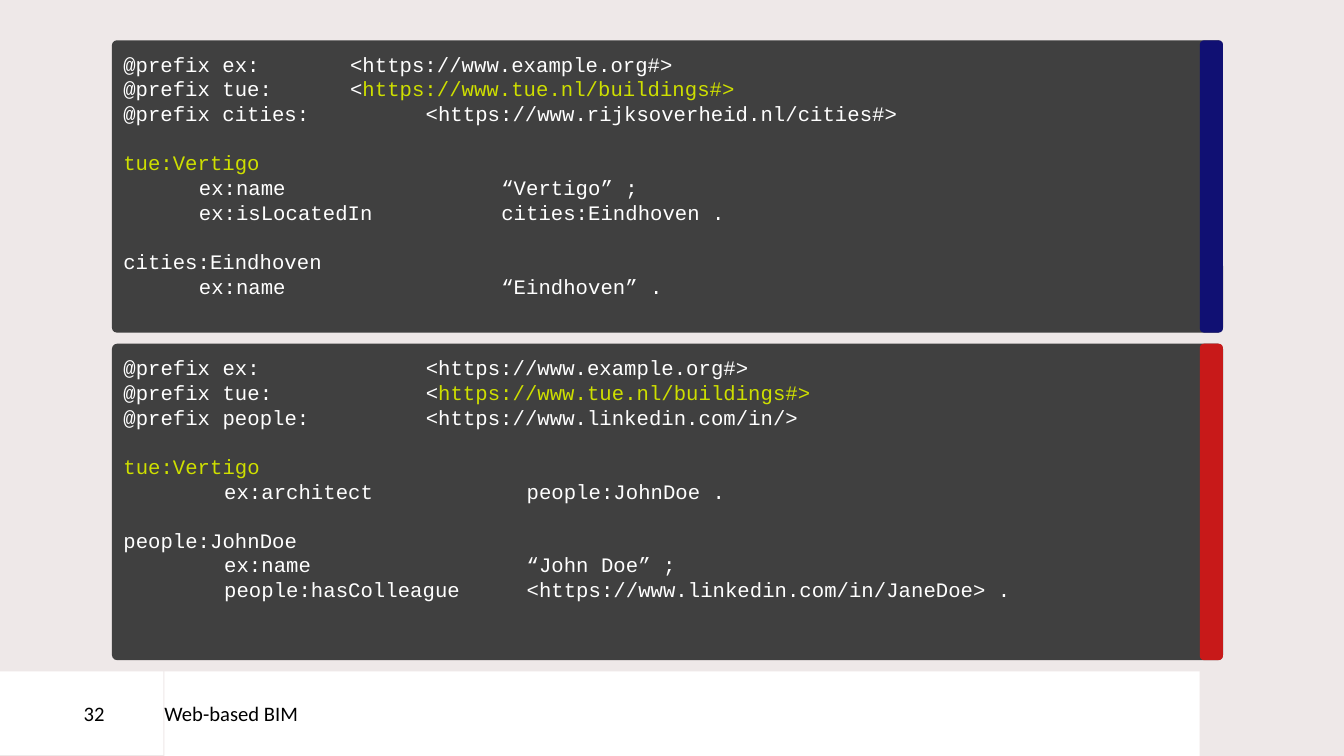
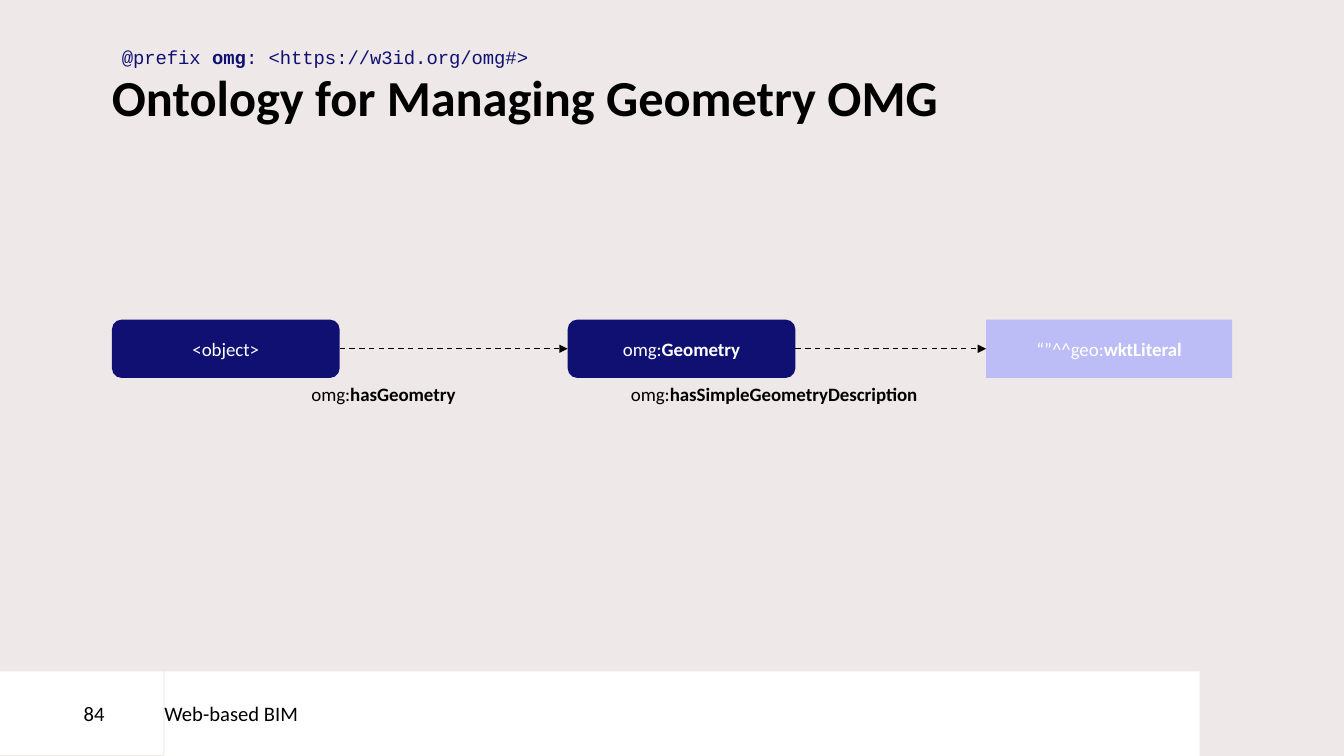
"""Build two slides on linked building data and geometry ontologies."""
from lxml.etree import SubElement
from pptx import Presentation
from pptx.dml.color import RGBColor
from pptx.enum.dml import MSO_LINE
from pptx.enum.shapes import MSO_CONNECTOR, MSO_SHAPE
from pptx.enum.text import MSO_ANCHOR, PP_ALIGN
from pptx.oxml.ns import qn
from pptx.util import Inches, Pt

COLORS = {
    "background": "EEE8E8", "white": "FFFFFF", "black": "000000",
    "panel": "404040", "lime": "CEDF00", "navy": "101073",
    "red": "C81919", "lilac": "BCBCF6",
}
SANS, MONO = "Calibri", "Courier New"
LEFT = 1.11
PANEL_WIDTH = 11.02
STRIPE_WIDTH = 0.23
NODE_TOP, NODE_HEIGHT = 3.17, 0.58
CODE_PITCH = 17.6


def rgb(name):
    return RGBColor.from_string(COLORS[name])


def write(sp, lines, size=13.5, font=SANS, color="black", align=PP_ALIGN.LEFT,
          anchor=MSO_ANCHOR.TOP, insets=(0.1, 0.05, 0.1, 0.05), pitch=None,
          tab=None, gaps=()):
    tf = sp.text_frame
    tf.word_wrap = True
    tf.vertical_anchor = anchor
    tf.margin_left, tf.margin_top, tf.margin_right, tf.margin_bottom = map(Inches, insets)
    for i, line in enumerate(lines):
        p = tf.add_paragraph() if i else tf.paragraphs[0]
        p.alignment = align
        p.space_before = Pt(pitch if i in gaps else 0)
        if pitch:
            p.line_spacing = Pt(pitch)
        if tab:
            stops = SubElement(p._p.get_or_add_pPr(), qn("a:tabLst"))
            for n in range(1, 9):
                SubElement(stops, qn("a:tab"), pos=str(Inches(n * tab)), algn="l")
        for text, style in line:
            r = p.add_run()
            r.text = text
            r.font.size = Pt(size)
            r.font.name = font
            r.font.bold = style == "bold"
            r.font.color.rgb = rgb(style if style in COLORS else color)


class Deck:
    def __init__(self):
        self.prs = Presentation()
        self.prs.slide_width, self.prs.slide_height = Inches(13.33), Inches(7.5)
        self.s = None

    def slide(self, number):
        self.s = self.prs.slides.add_slide(self.prs.slide_layouts[6])
        fill = self.s.background.fill
        fill.solid()
        fill.fore_color.rgb = rgb("background")
        for text, x, w, h, inset in (("Web-based BIM", 1.63, 10.27, 0.84, 0),
                                     (str(number), 0, 1.62, 0.83, 0.83)):
            band = self.box(x, 6.66, w, h, "white")
            write(band, [[(text, "")]], size=14.7, anchor=MSO_ANCHOR.MIDDLE,
                  insets=(inset, 0, 0, 0))

    def box(self, x, y, w, h, color, radius=None):
        kind = MSO_SHAPE.RECTANGLE if radius is None else MSO_SHAPE.ROUNDED_RECTANGLE
        sp = self.s.shapes.add_shape(kind, Inches(x), Inches(y), Inches(w), Inches(h))
        if radius is not None:
            sp.adjustments[0] = radius
        sp.shadow.inherit = False
        sp.fill.solid()
        sp.fill.fore_color.rgb = rgb(color)
        sp.line.fill.background()
        return sp

    def text(self, x, y, w, h, *runs, **style):
        sp = self.s.shapes.add_textbox(Inches(x), Inches(y), Inches(w), Inches(h))
        write(sp, [runs], **style)

    def code(self, y, h, stripe, tab, lines, gaps):
        panel = self.box(LEFT, y, PANEL_WIDTH, h, "panel", 0.017)
        write(panel, lines, size=14.7, font=MONO, color="white", insets=(0.1,) * 4,
              pitch=CODE_PITCH, tab=tab, gaps=gaps)
        self.box(LEFT + PANEL_WIDTH - STRIPE_WIDTH, y, STRIPE_WIDTH, h, stripe, 0.187)

    def node(self, x, w, color, *runs, radius=0.17):
        sp = self.box(x, NODE_TOP, w, NODE_HEIGHT, color, radius)
        write(sp, [runs], color="white", align=PP_ALIGN.CENTER, anchor=MSO_ANCHOR.MIDDLE)
        return sp

    def arrow(self, start, end):
        c = self.s.shapes.add_connector(MSO_CONNECTOR.STRAIGHT, 0, 0, 0, 0)
        c.begin_connect(start, 3)
        c.end_connect(end, 1)
        c.line.color.rgb = rgb("black")
        c.line.width = Pt(1)
        c.line.dash_style = MSO_LINE.DASH
        SubElement(c.line._get_or_add_ln(), qn("a:tailEnd"), type="triangle")
        SubElement(c._element.spPr, qn("a:effectLst"))


def turtle_slide(deck):
    deck.slide(32)
    shared = [
        [("@prefix ex:\t\t<https://www.example.org#>", "")],
        [("@prefix tue:\t\t<", ""), ("https://www.tue.nl/buildings#>", "lime")],
    ]
    subject = [("tue:Vertigo", "lime")]
    deck.code(0.4, 2.9, "navy", 0.75, shared + [
        [("@prefix cities:\t\t<https://www.rijksoverheid.nl/cities#>", "")],
        subject,
        [("\tex:name\t\t\t“Vertigo” ;", "")],
        [("\tex:isLocatedIn\t\tcities:Eindhoven .", "")],
        [("cities:Eindhoven", "")],
        [("\tex:name\t\t\t“Eindhoven” .", "")],
    ], gaps=(3, 6))
    deck.code(3.41, 3.14, "red", 1, shared + [
        [("@prefix people:\t\t<https://www.linkedin.com/in/>", "")],
        subject,
        [("\tex:architect\t\tpeople:JohnDoe .", "")],
        [("people:JohnDoe", "")],
        [("\tex:name\t\t\t“John Doe” ;", "")],
        [("\tpeople:hasColleague\t<https://www.linkedin.com/in/JaneDoe> .", "")],
    ], gaps=(3, 5))


def geometry_slide(deck):
    deck.slide(84)
    deck.text(LEFT, 0.4, 6.67, 0.33, ("@prefix ", ""), ("omg", "bold"),
              (": <https://w3id.org/omg#>", ""), font=MONO, color="navy")
    deck.text(LEFT, 0.76, PANEL_WIDTH, 0.79, ("Ontology for Managing Geometry OMG", "bold"),
              size=36, insets=(0,) * 4, pitch=36)
    thing = deck.node(LEFT, 2.26, "navy", ("<object>", ""))
    geometry = deck.node(5.63, 2.26, "navy", ("omg:", ""), ("Geometry", "bold"))
    literal = deck.node(9.78, 2.44, "lilac", ("“”^^geo:", ""), ("wktLiteral", "bold"),
                        radius=None)
    deck.arrow(thing, geometry)
    deck.arrow(geometry, literal)
    for x, w, name in ((2.99, 2.46, "hasGeometry"),
                       (6.16, 4.8, "hasSimpleGeometryDescription")):
        deck.text(x, NODE_TOP + NODE_HEIGHT, w, 0.33, ("omg:", ""), (name, "bold"))


def main():
    deck = Deck()
    turtle_slide(deck)
    geometry_slide(deck)
    deck.prs.save("out.pptx")


if __name__ == "__main__":
    main()
